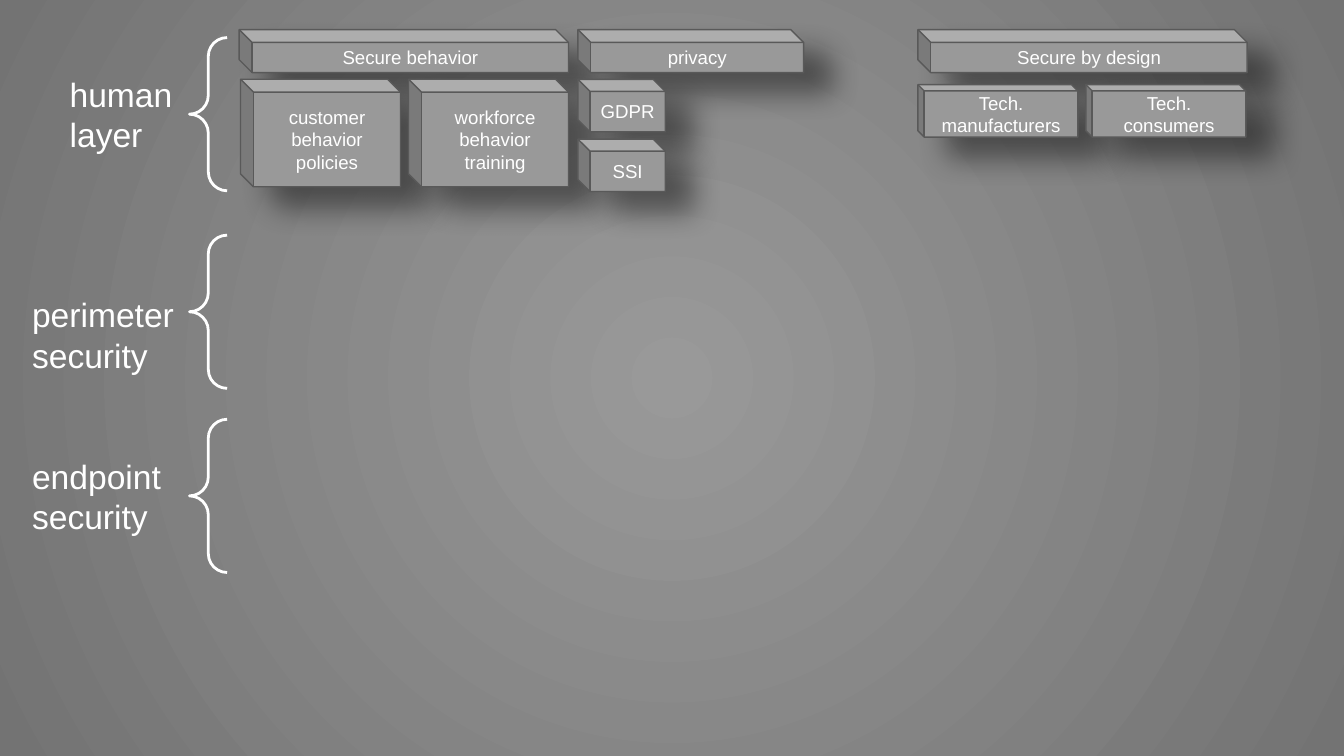
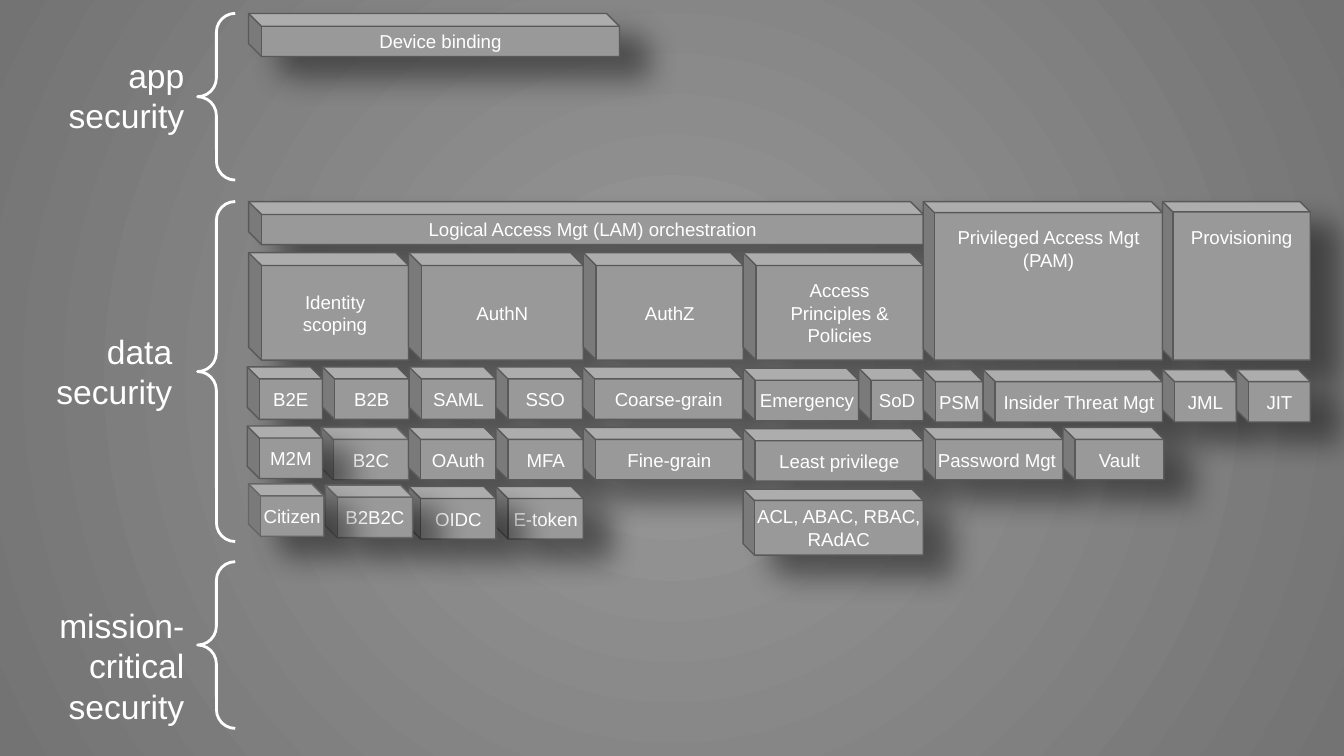
import collections
import pptx
import pptx.dml.color
import pptx.enum.shapes
import pptx.enum.text
import pptx.oxml
import pptx.oxml.ns
import pptx.util

FONT = "Arial"
WHITE, GREY, DARK_GREY = "FFFFFF", "999999", "737373"
EDGE, SOFT_EDGE = "595959", "666666"
COLUMNS = 100
UNIT = pptx.util.Inches(10) // COLUMNS
ROWS = 56.25

ALIGN = pptx.enum.text.PP_ALIGN
ANCHOR = pptx.enum.text.MSO_ANCHOR
SHAPE = pptx.enum.shapes.MSO_SHAPE

Cube = collections.namedtuple("Cube", "height depth inset anchor")
BAR = Cube(3.2, 0.3, 1, ANCHOR.MIDDLE)
PANEL = Cube(8, 0.12, 1, ANCHOR.MIDDLE)
TALL = Cube(11.8, 0.07, 1, ANCHOR.TOP)
SLAB = Cube(3.9, 0.12, 1, ANCHOR.MIDDLE)
CHIP = Cube(3.9, 0.23, 0.2, ANCHOR.MIDDLE)
DEEP_CHIP = Cube(4.9, 0.17, 0.2, ANCHOR.MIDDLE)

SHADOW = (
    f'<a:outerShdw {pptx.oxml.ns.nsdecls("a")} blurRad="203200" dist="238760" '
    'dir="2196000" algn="tl" rotWithShape="0"><a:srgbClr val="000000">'
    '<a:alpha val="44000"/></a:srgbClr></a:outerShdw>'
)
RADIAL = (
    f'<a:path {pptx.oxml.ns.nsdecls("a")} path="circle">'
    '<a:fillToRect l="50000" t="50000" r="50000" b="50000"/></a:path>'
)


def color(value):
    return pptx.dml.color.RGBColor.from_string(value)


def grid(*lengths):
    return [round(length * UNIT) for length in lengths]


def set_background(master):
    fill = master.background.fill
    fill.gradient()
    for stop, value in zip(fill.gradient_stops, (GREY, DARK_GREY)):
        stop.color.rgb = color(value)
    grad = master.element.xpath(".//p:bgPr/a:gradFill")[0]
    for lin in grad.xpath("a:lin"):
        grad.remove(lin)
    grad.append(pptx.oxml.parse_xml(RADIAL))


def write(sp, text, size, align, anchor, inset):
    tf = sp.text_frame
    tf.word_wrap = True
    tf.vertical_anchor = anchor
    tf.margin_left, tf.margin_right = grid(inset, inset)
    tf.margin_top, tf.margin_bottom = grid(1, 1)
    tf.text = text
    for p in tf.paragraphs:
        p.alignment = align
        p.font.name = FONT
        p.font.size = pptx.util.Pt(size)
        p.font.color.rgb = color(WHITE)


def add_label(slide, text, left, top, width, height=8.1, align=ALIGN.LEFT):
    sp = slide.shapes.add_textbox(*grid(left, top, width, height))
    write(sp, text, 18, align, ANCHOR.TOP, 1)
    sp.text_frame.auto_size = pptx.enum.text.MSO_AUTO_SIZE.SHAPE_TO_FIT_TEXT


def add_brace(slide, left, top, height):
    sp = slide.shapes.add_shape(SHAPE.LEFT_BRACE, *grid(left, top, 2.8, height))
    sp.shadow.inherit = False
    sp.adjustments[0] = 0.5
    sp.fill.background()
    sp.line.color.rgb = color(WHITE)
    sp.line.width = pptx.util.Pt(1.5)


def add_cube(slide, kind, left, top, width, text, edge=EDGE, align=ALIGN.CENTER):
    sp = slide.shapes.add_shape(SHAPE.CUBE, *grid(left, top, width, kind.height))
    sp.adjustments[0] = kind.depth
    sp.fill.solid()
    sp.fill.fore_color.rgb = color(GREY)
    sp.line.color.rgb = color(edge)
    sp.line.width = pptx.util.Pt(0.75)
    sp.shadow.inherit = False
    props = sp.element.spPr
    props.xfrm.set("flipH", "1")
    props.xpath("a:effectLst")[0].append(pptx.oxml.parse_xml(SHADOW))
    write(sp, text, 10, align, kind.anchor, kind.inset)


def add_cube_row(slide, kind, left, top, cubes, gap=0):
    for text, width in cubes:
        add_cube(slide, kind, left, top, width, text)
        left += width + gap


def build_outer_layers(slide):
    for text, left, top, width, brace_top in (
        ("human\nlayer", 4.2, 4.5, 20, 2.8),
        ("perimeter\nsecurity", 1.4, 20.9, 14.8, 17.5),
        ("endpoint\nsecurity", 1.4, 32.9, 14.8, 31.2),
    ):
        add_label(slide, text, left, top, width)
        add_brace(slide, 14.1, brace_top, 11.4)
    for text, left, width in (
        ("Secure behavior", 17.8, 24.5),
        ("Secure by design", 68.3, 24.5),
        ("privacy", 43, 16.8),
    ):
        add_cube(slide, BAR, left, 2.2, width, text)
    add_cube_row(slide, PANEL, 17.9, 5.9, (
        ("customer behavior\npolicies", 11.9),
        ("workforce behavior\ntraining", 11.9)), gap=0.6)
    for text, top in (("GDPR", 5.9), ("SSI", 10.35)):
        add_cube(slide, CHIP, 43, top, 6.5, text)
    add_cube_row(slide, SLAB, 68.3, 6.3, (
        ("Tech. manufacturers", 11.9), ("Tech. consumers", 11.9)), gap=0.6)


def build_inner_layers(slide):
    add_cube(slide, BAR, 18.5, 15, 50.2, "Logical Access Mgt (LAM) orchestration")
    add_cube_row(slide, PANEL, 18.5, 18.8, (
        ("Identity scoping", 11.9), ("AuthN", 13), ("AuthZ", 11.9),
        ("Access\nPrinciples & Policies", 13.4)))
    add_cube_row(slide, TALL, 68.7, 15, (
        ("Privileged Access Mgt\n(PAM)", 17.8), ("Provisioning", 11)))

    add_cube_row(slide, CHIP, 18.4, 27.3, (
        ("B2E", 5.6), ("B2B", 6.45), ("SAML", 6.45), ("SSO", 6.45),
        ("Coarse-grain", 11.9)))
    add_cube_row(slide, CHIP, 55.3, 27.4, (("Emergency", 8.6), ("SoD", 4.8)))
    add_cube_row(slide, CHIP, 68.7, 27.5, (
        ("PSM", 4.45), ("Insider Threat Mgt", 13.35), ("JML", 5.5), ("JIT", 5.5)))

    add_cube(slide, CHIP, 23.9, 31.8, 6.5, "B2C", SOFT_EDGE)
    add_cube_row(slide, CHIP, 30.4, 31.8, (
        ("OAuth", 6.5), ("MFA", 6.5), ("Fine-grain", 11.9)))
    add_cube(slide, CHIP, 55.3, 31.9, 13.4, "Least privilege")
    add_cube(slide, CHIP, 68.7, 31.8, 10.4, "Password Mgt", align=ALIGN.LEFT)
    add_cube(slide, CHIP, 79.1, 31.8, 7.5, "Vault")
    add_cube(slide, DEEP_CHIP, 55.3, 36.4, 13.4, "ACL, ABAC, RBAC, RAdAC")
    add_cube(slide, CHIP, 18.4, 31.7, 5.6, "M2M")

    add_cube(slide, CHIP, 36.9, 36.2, 6.5, "E-token")
    add_cube(slide, CHIP, 30.4, 36.2, 6.5, "OIDC")
    add_cube(slide, CHIP, 24.2, 36.1, 6.5, "B2B2C", SOFT_EDGE)
    add_cube(slide, CHIP, 18.5, 36, 5.6, "Citizen", SOFT_EDGE)

    for text, left, top, height, brace_top, brace_height in (
        ("data security", 2.5, 23.6, 8.1, 15, 25.3),
        ("app security", 3.4, 3.1, 8.1, 1, 12.4),
        ("mission-critical security", 3.4, 44, 11.1, 41.8, 12.4),
    ):
        add_brace(slide, 14.7, brace_top, brace_height)
        add_label(slide, text, left, top, 11.3, height, ALIGN.RIGHT)
    add_cube(slide, BAR, 18.5, 1, 27.6, "Device binding")


def main():
    prs = pptx.Presentation()
    prs.slide_width, prs.slide_height = grid(COLUMNS, ROWS)
    set_background(prs.slide_master)
    blank = prs.slide_layouts.get_by_name("Blank")
    for build in (build_outer_layers, build_inner_layers):
        build(prs.slides.add_slide(blank))
    prs.save("out.pptx")


if __name__ == "__main__":
    main()
